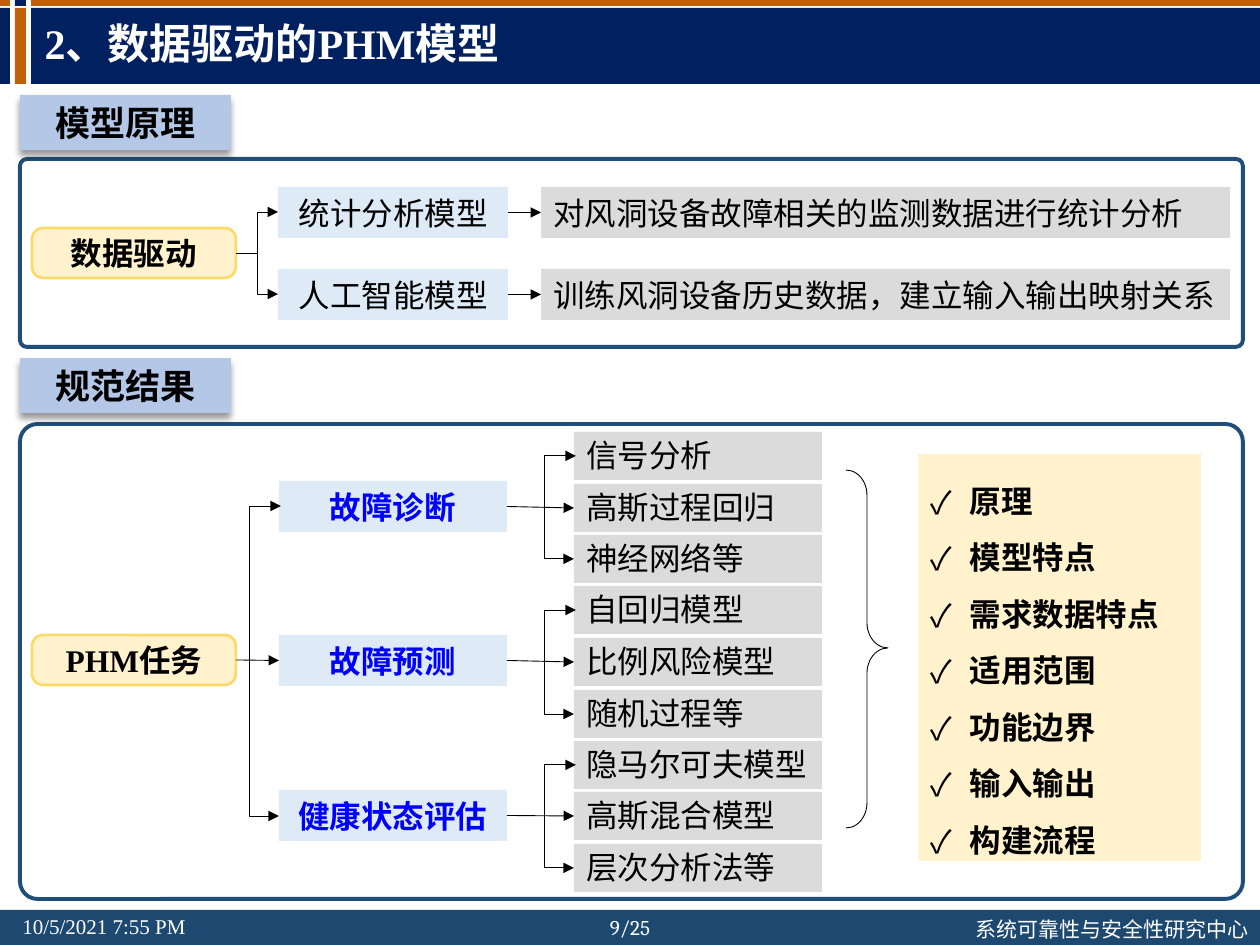
"""Build the slide on data-driven PHM models."""
from lxml import etree
from pptx import Presentation
from pptx.dml.color import RGBColor
from pptx.enum.shapes import MSO_CONNECTOR as CONN, MSO_SHAPE as SHAPE
from pptx.enum.text import MSO_ANCHOR as ANCHOR, PP_ALIGN as ALIGN
from pptx.oxml import parse_xml
from pptx.oxml.ns import nsdecls, qn
from pptx.util import Pt

PX = 914400 / 126
SERIF, SANS = "Times New Roman", "Noto Sans CJK SC"
NAVY, ORANGE, STEEL, WHITE, BLACK = "002060", "C16007", "1D4971", "FFFFFF", "000000"
PALE, GREY, CREAM, GOLD, LILAC = "DEEBF7", "DBDBDB", "FFF2CC", "FFD966", "B4C7E7"
BLUE, EDGE = "0000FF", "1F4E79"

TITLE = "2、数据驱动的PHM模型"
STRIPES = [
    (0, 910, 1260, 35, STEEL),
    (31, 8, 1229, 76, NAVY), (31, 0, 1229, 6, ORANGE),
    (15, 8, 11, 76, ORANGE), (15, 0, 11, 6, NAVY),
    (0, 8, 10, 76, NAVY), (0, 0, 10, 6, ORANGE),
]
FOOTER = [
    (10, 907, 205, "10/5/2021 7:55 PM", SERIF, ALIGN.LEFT),
    (586, 908, 88, "9/25", "Cambria", ALIGN.CENTER),
    (963, 910, 302, "系统可靠性与安全性研究中心", SANS, ALIGN.LEFT),
]
SECTIONS = [("模型原理", 95, 159, 188), ("规范结果", 358, 424, 475)]
PRINCIPLES = [
    ("统计分析模型", "对风洞设备故障相关的监测数据进行统计分析"),
    ("人工智能模型", "训练风洞设备历史数据，建立输入输出映射关系"),
]
TASKS = [
    ("故障诊断", ["信号分析", "高斯过程回归", "神经网络等"]),
    ("故障预测", ["自回归模型", "比例风险模型", "随机过程等"]),
    ("健康状态评估", ["隐马尔可夫模型", "高斯混合模型", "层次分析法等"]),
]
RESULTS = ["原理", "模型特点", "需求数据特点", "适用范围", "功能边界", "输入输出", "构建流程"]


def emu(*values):
    return [round(v * PX) for v in values]


def rgb(color):
    return RGBColor.from_string(color)


def write(p, text, size, color=BLACK, bold=False, font=SERIF):
    r = p.add_run()
    r.text = text
    f = r.font
    f.size, f.bold, f.name, f.color.rgb = Pt(size), bold, font, rgb(color)
    etree.SubElement(r._r.get_or_add_rPr(), qn("a:ea")).set("typeface", SANS)


def shape(s, kind, x, y, w, h, fill=None, line=None, weight=1.5, adj=()):
    sp = s.shapes.add_shape(kind, *emu(x, y, w, h))
    sp.shadow.inherit = False
    for i, value in enumerate(adj):
        sp.adjustments[i] = value
    if fill:
        sp.fill.solid()
        sp.fill.fore_color.rgb = rgb(fill)
    else:
        sp.fill.background()
    if line:
        sp.line.color.rgb = rgb(line)
        sp.line.width = Pt(weight)
    else:
        sp.line.fill.background()
    return sp


def label(sp, text, size=18, color=BLACK, bold=False, align=ALIGN.CENTER, spacing=None):
    tf = sp.text_frame
    tf.word_wrap, tf.vertical_anchor = True, ANCHOR.MIDDLE
    p = tf.paragraphs[0]
    p.alignment, p.line_spacing = align, spacing
    write(p, text, size, color, bold)
    return sp


def box(s, x, y, w, h, fill, text, **style):
    return label(shape(s, SHAPE.RECTANGLE, x, y, w, h, fill), text, **style)


def root(s, y, text):
    sp = shape(s, SHAPE.ROUNDED_RECTANGLE, 32, y, 204, 50, CREAM, GOLD, adj=[0.225])
    return label(sp, text, bold=True)


def wire(s, kind, ends=(0, 0, 0, 0), heads=("tailEnd",), adj=None):
    c = s.shapes.add_connector(kind, *emu(*ends))
    c.line.color.rgb, c.line.width = rgb(BLACK), Pt(0.5)
    for head in heads:
        etree.SubElement(c.line._get_or_add_ln(), qn("a:" + head)).set("type", "triangle")
    spPr = c._element.spPr
    etree.SubElement(spPr, qn("a:effectLst"))
    if adj:
        guide = etree.SubElement(spPr.find(qn("a:prstGeom")).get_or_add_avLst(), qn("a:gd"))
        guide.set("name", "adj1")
        guide.set("fmla", f"val {adj}")
    return c


def join(s, left, right):
    c = wire(s, CONN.STRAIGHT)
    c.begin_connect(left, 3)
    c.end_connect(right, 1)


def bracket(s, x, top, bottom):
    wire(s, CONN.ELBOW, (x + 2, top, x, bottom), ("headEnd", "tailEnd"), 1600000)


def add_frame(s):
    for *area, color in STRIPES:
        shape(s, SHAPE.RECTANGLE, *area, color)
    for x, y, w, text, font, align in FOOTER:
        tf = s.shapes.add_textbox(*emu(x, y, w, 38)).text_frame
        tf.word_wrap = False
        tf.paragraphs[0].alignment = align
        write(tf.paragraphs[0], text, 12, WHITE, font=font)
    title = s.shapes.title
    title.left, title.top, title.width, title.height = emu(32, 8, 1118, 76)
    s.shapes._spTree.append(title._element)
    title.text_frame.vertical_anchor = ANCHOR.MIDDLE
    p = title.text_frame.paragraphs[0]
    p.alignment, p.line_spacing = ALIGN.LEFT, 0.9
    write(p, TITLE, 24, WHITE, True)


def add_sections(s):
    for text, tab_y, y, h in SECTIONS:
        shape(s, SHAPE.ROUNDED_RECTANGLE, 20, y, 1223, h, None, EDGE, 2.25, [0.037])
        tab = box(s, 20, tab_y, 211, 55, LILAC, text, size=20, bold=True)
        spPr = tab._element.spPr
        spPr.remove(spPr.find(qn("a:effectLst")))
        spPr.append(parse_xml(
            f'<a:effectLst {nsdecls("a")}><a:outerShdw blurRad="50800" dist="38100" '
            'dir="5400000" algn="t" rotWithShape="0"><a:srgbClr val="000000">'
            '<a:alpha val="40000"/></a:srgbClr></a:outerShdw></a:effectLst>'))


def add_principles(s):
    root(s, 228, "数据驱动")
    for i, (name, detail) in enumerate(PRINCIPLES):
        y = 187 + 82 * i
        model = box(s, 278, y, 230, 51, PALE, name)
        join(s, model, box(s, 541, y, 689, 51, GREY, detail, align=ALIGN.LEFT))
        wire(s, CONN.ELBOW, (236, 253, 278, y + 25))


def add_tasks(s):
    phm = root(s, 635, "PHM任务")
    for i, (name, methods) in enumerate(TASKS):
        task = box(s, 279, int(481 + 154.5 * i), 228, 51, PALE, name, color=BLUE, bold=True)
        tops = [round(432 + 51.5 * (3 * i + j)) for j in range(3)]
        items = [box(s, 574, y, 248, 48, GREY, text, align=ALIGN.LEFT, spacing=Pt(20))
                 for y, text in zip(tops, methods)]
        join(s, task, items[1])
        bracket(s, 574, tops[0] + 24, tops[-1] + 24)
        if i == 1:
            join(s, phm, task)
    bracket(s, 279, 506, 816)


def add_results(s):
    shape(s, SHAPE.RIGHT_BRACE, 846, 470, 42, 358, None, BLACK, 0.5, [0.6, 0.497])
    tf = shape(s, SHAPE.RECTANGLE, 918, 454, 283, 407, CREAM).text_frame
    tf.word_wrap, tf.vertical_anchor = True, ANCHOR.TOP
    tf.margin_top, tf.margin_bottom = emu(9, 0)
    for i, text in enumerate(RESULTS):
        p = tf.paragraphs[0] if i == 0 else tf.add_paragraph()
        p.alignment, p.line_spacing = ALIGN.LEFT, Pt(32.3)
        pPr = p._p.get_or_add_pPr()
        pPr.set("marL", "285750")
        pPr.set("indent", "-320040")
        etree.SubElement(pPr, qn("a:buFont")).set("typeface", SANS)
        etree.SubElement(pPr, qn("a:buChar")).set("char", "✓")
        write(p, text, 18, bold=True)


def main():
    prs = Presentation()
    prs.slide_width, prs.slide_height = emu(1260, 945)
    s = prs.slides.add_slide(prs.slide_layouts[5])
    for add in (add_frame, add_sections, add_principles, add_tasks, add_results):
        add(s)
    prs.save("out.pptx")


if __name__ == "__main__":
    main()
